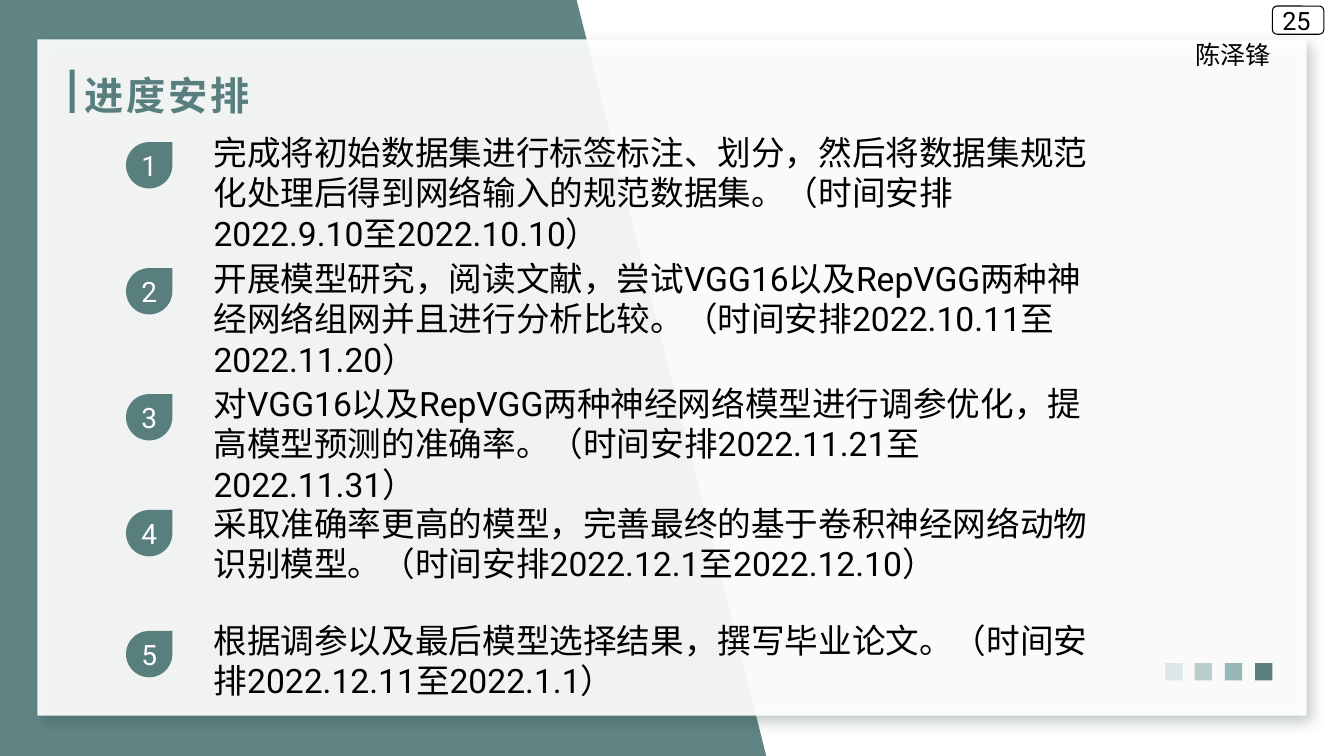
from lxml.etree import SubElement
from pptx import Presentation
from pptx.dml.color import RGBColor
from pptx.enum.lang import MSO_LANGUAGE_ID
from pptx.enum.shapes import MSO_SHAPE
from pptx.enum.text import MSO_ANCHOR, MSO_AUTO_SIZE, PP_ALIGN
from pptx.oxml.ns import qn
from pptx.util import Emu, Pt

PX = 9144  # one px is a hundredth of an inch
COLORS = {
    "teal": "587F7E",
    "teal_mid": "96B7B6",
    "teal_light": "B9CFCE",
    "teal_pale": "DCE7E7",
    "shade": "2C403F",
    "white": "FFFFFF",
    "black": "000000",
}
FONTS = {
    "title": {"name": "Cabin", "size": Pt(28), "bold": True},
    "body": {"name": "Roboto", "size": Pt(24)},
    "badge": {"name": "Roboto", "size": Pt(20)},
    "small": {"name": "Roboto", "size": Pt(18)},
}
# Number, badge top, text top, wording
STAGES = [
    (1, 141, 126, "完成将初始数据集进行标签标注、划分，然后将数据集规范化处理后得到"
                  "网络输入的规范数据集。（时间安排2022.9.10至2022.10.10）"),
    (2, 266, 251, "开展模型研究，阅读文献，尝试VGG16以及RepVGG两种神经网络组网并且"
                  "进行分析比较。（时间安排2022.10.11至2022.11.20）"),
    (3, 391, 375, "对VGG16以及RepVGG两种神经网络模型进行调参优化，提高模型预测的"
                  "准确率。（时间安排2022.11.21至2022.11.31）"),
    (4, 506, 494, "采取准确率更高的模型，完善最终的基于卷积神经网络动物识别模型。"
                  "（时间安排2022.12.1至2022.12.10）"),
    (5, 626, 610, "根据调参以及最后模型选择结果，撰写毕业论文。"
                  "（时间安排2022.12.11至2022.1.1）"),
]


class SlideBuilder:
    def __init__(self, slide):
        self.slide = slide
        self.shapes = slide.shapes

    def paint(self, shape, color, alpha=100, line=None):
        shape.shadow.inherit = False
        shape.fill.solid()
        shape.fill.fore_color.rgb = RGBColor.from_string(COLORS[color])
        if alpha < 100:
            tint = shape.element.spPr.find(qn("a:solidFill"))[0]
            SubElement(tint, qn("a:alpha"), val=str(alpha * 1000))
        if line:
            shape.line.color.rgb = RGBColor.from_string(COLORS[line])
            shape.line.width = Pt(0.75)
        else:
            shape.line.fill.background()
        return shape

    def shape(self, kind, box, color, **look):
        added = self.shapes.add_shape(kind, *(Emu(n * PX) for n in box))
        return self.paint(added, color, **look)

    def polygon(self, points, color, **look):
        outline = self.shapes.build_freeform(*points[0], scale=PX)
        outline.add_line_segments(points[1:], close=True)
        return self.paint(outline.convert_to_shape(), color, **look)

    def cast_shadow(self, shape):
        effects = shape.element.spPr.find(qn("a:effectLst"))
        shadow = SubElement(effects, qn("a:outerShdw"), blurRad=str(Pt(10)),
                            dist=str(Pt(6)), dir="2700000", algn="tl", rotWithShape="0")
        tint = SubElement(shadow, qn("a:srgbClr"), val=COLORS["shade"])
        SubElement(tint, qn("a:alpha"), val="30000")

    def put_text(self, shape, wording, style, color, align=PP_ALIGN.LEFT, **frame):
        for name, value in frame.items():
            setattr(shape.text_frame, name, value)
        paragraph = shape.text_frame.paragraphs[0]
        paragraph.alignment = align
        run = paragraph.add_run()
        run.text = wording
        for name, value in FONTS[style].items():
            setattr(run.font, name, value)
        run.font.language_id = MSO_LANGUAGE_ID.SIMPLIFIED_CHINESE
        run.font.color.rgb = RGBColor.from_string(COLORS[color])

    def text(self, box, wording, style):
        label = self.shapes.add_textbox(*(Emu(n * PX) for n in box))
        self.put_text(label, wording, style, "black", word_wrap=True)

    def title(self, box, wording):
        heading = self.shapes.title
        for name, value in zip(("left", "top", "width", "height"), box):
            setattr(heading, name, Emu(value * PX))
        self.put_text(heading, wording, "title", "teal", word_wrap=True,
                      auto_size=MSO_AUTO_SIZE.NONE, vertical_anchor=MSO_ANCHOR.TOP)
        # Letter spacing of two points
        heading.element.find(".//" + qn("a:rPr")).set("spc", "200")
        # Bring the heading in front of the panel
        heading.element.getparent().append(heading.element)

    def badge(self, top, number):
        drop = self.shape(MSO_SHAPE.TEAR, (125, top, 46, 46), "teal")
        self.put_text(drop, str(number), "badge", "white", PP_ALIGN.CENTER,
                      vertical_anchor=MSO_ANCHOR.MIDDLE, margin_left=0, margin_right=0,
                      margin_top=0, margin_bottom=0)


def main():
    deck = Presentation()
    deck.slide_width, deck.slide_height = Emu(1333 * PX), Emu(750 * PX)
    page = SlideBuilder(deck.slides.add_slide(deck.slide_layouts[5]))

    # Background and panel
    page.polygon([(0, 0), (572, 0), (760, 750), (0, 750)], "teal", alpha=95)
    panel = page.shape(MSO_SHAPE.RECTANGLE, (37, 39, 1259, 671), "white", alpha=92)
    page.cast_shadow(panel)

    # Row of corner squares
    for i, color in enumerate(("teal_pale", "teal_light", "teal_mid", "teal")):
        page.shape(MSO_SHAPE.RECTANGLE, (1156 + i * 89 // 3, 658, 17, 17), color)

    # Heading, page number and author
    page.shape(MSO_SHAPE.RECTANGLE, (69, 69, 5, 43), "teal")
    page.title((74, 66, 526, 48), "进度安排")
    page.shape(MSO_SHAPE.ROUNDED_RECTANGLE, (1262, 6, 51, 28), "white", line="black")
    page.text((1262, 0, 51, 40), "25", "small")
    page.text((1176, 34, 127, 40), "陈泽锋", "small")

    # Schedule
    for number, badge_top, text_top, wording in STAGES:
        page.badge(badge_top, number)
        page.text((202, text_top, 900, 131 if number < 3 else 91), wording, "body")

    deck.save("out.pptx")


if __name__ == "__main__":
    main()
